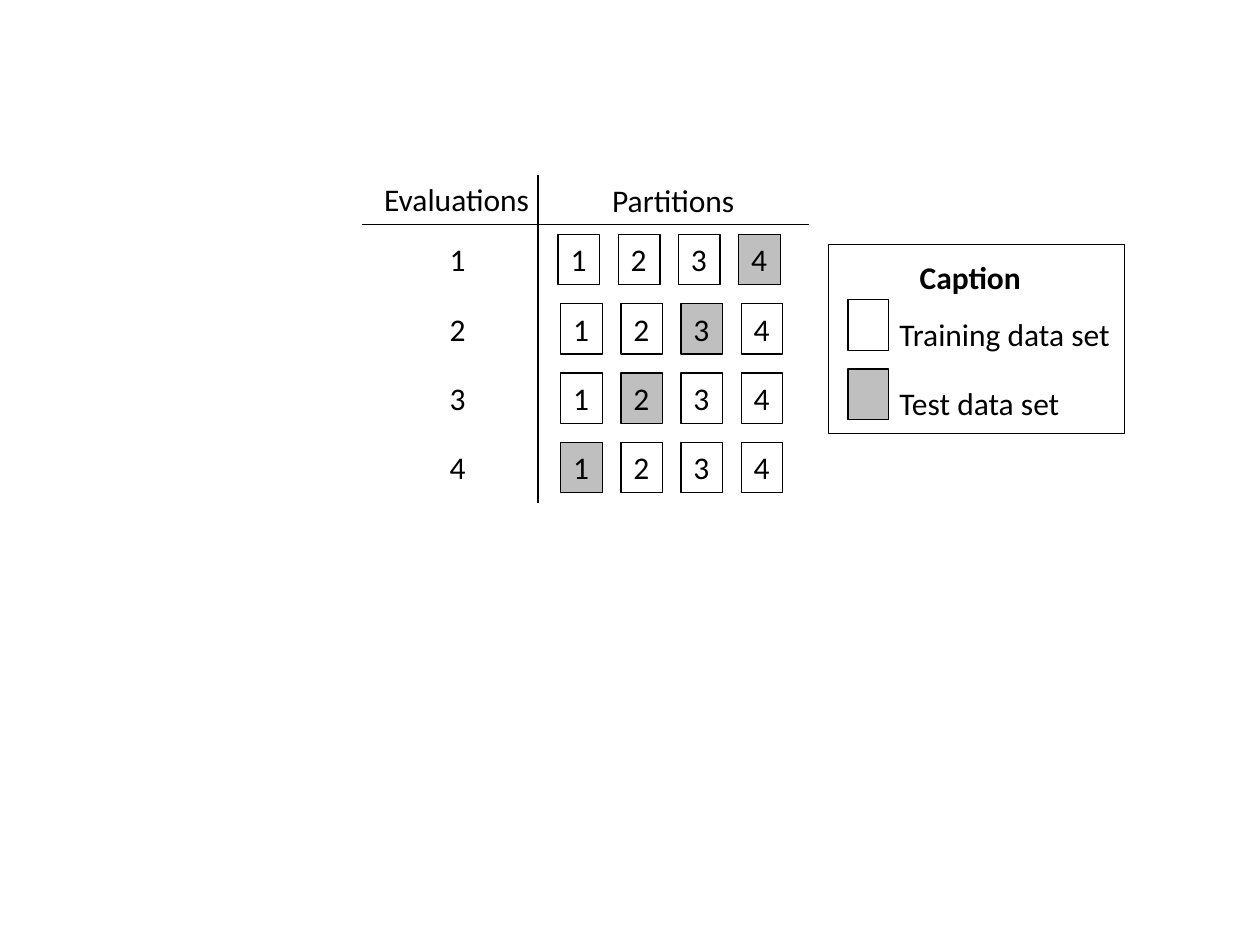
from dataclasses import dataclass
from typing import Optional

from lxml.etree import SubElement
from pptx import Presentation
from pptx.dml.color import RGBColor
from pptx.enum.shapes import MSO_CONNECTOR, MSO_SHAPE
from pptx.enum.text import MSO_ANCHOR, MSO_AUTO_SIZE, PP_ALIGN
from pptx.oxml.ns import qn
from pptx.util import Inches, Pt


@dataclass(frozen=True)
class Theme:
    font: str = "Calibri"
    text_size: float = 18
    ink: RGBColor = RGBColor(0, 0, 0)
    training: RGBColor = RGBColor(255, 255, 255)
    test: RGBColor = RGBColor(0xBF, 0xBF, 0xBF)
    line: float = 0.75
    thin_line: float = 0.25


@dataclass(frozen=True)
class Box:
    left: float
    top: float
    width: float
    height: float = 0.4

    def lengths(self) -> list:
        return [Inches(value) for value in (self.left, self.top, self.width, self.height)]


@dataclass(frozen=True)
class Grid:
    left: float
    top: float
    column_step: float
    row_step: float
    cell_width: float

    def cell(self, column: int, row: int) -> Box:
        return Box(self.left + column * self.column_step,
                   self.top + row * self.row_step, self.cell_width)


@dataclass(frozen=True)
class Label:
    text: str
    box: Box
    bold: bool = False


@dataclass(frozen=True)
class LegendEntry:
    text: str
    text_width: float
    fill: RGBColor


THEME = Theme()
FOLDS = 4
PARTITIONS = Grid(4.45, 1.86, 0.478, 0.55, 0.33)
FIRST_ROW_SHIFT = -0.02
EVALUATIONS = Grid(3.47, 1.86, 0, 0.55, 0.33)
LEGEND = Grid(6.73, 2.38, 0.31, 0.55, 0.32)
LEGEND_TEXT_DROP = 0.07
LEGEND_FRAME = Box(6.57, 1.94, 2.35, 1.5)
HEADINGS = (
    Label("Partitions", Box(4.76, 1.39, 1.18)),
    Label("Evaluations", Box(2.95, 1.38, 1.37)),
    Label("Caption", Box(7.2, 2, 1.01), bold=True),
)
LEGEND_ENTRIES = (
    LegendEntry("Training data set", 1.89, THEME.training),
    LegendEntry("Test data set", 1.48, THEME.test),
)


def write_text(shape, text: str, bold: bool = False) -> None:
    frame = shape.text_frame
    frame.word_wrap = False
    frame.auto_size = MSO_AUTO_SIZE.SHAPE_TO_FIT_TEXT
    frame.vertical_anchor = MSO_ANCHOR.TOP
    paragraph = frame.paragraphs[0]
    paragraph.alignment = PP_ALIGN.LEFT
    run = paragraph.add_run()
    run.text = text
    run.font.name = THEME.font
    run.font.size = Pt(THEME.text_size)
    run.font.bold = bold
    run.font.color.rgb = THEME.ink


def add_label(slide, label: Label) -> None:
    write_text(slide.shapes.add_textbox(*label.box.lengths()), label.text, label.bold)


def add_rectangle(slide, box: Box, fill: Optional[RGBColor] = None,
                  text: str = "", line: float = THEME.line) -> None:
    shape = slide.shapes.add_shape(MSO_SHAPE.RECTANGLE, *box.lengths())
    shape.shadow.inherit = False
    if fill is None:
        shape.fill.background()
    else:
        shape.fill.solid()
        shape.fill.fore_color.rgb = fill
    shape.line.color.rgb = THEME.ink
    shape.line.width = Pt(line)
    if text:
        write_text(shape, text)


def add_rule(slide, *ends: float) -> None:
    """Draw a line from begin x, begin y to end x, end y."""
    connector = slide.shapes.add_connector(
        MSO_CONNECTOR.STRAIGHT, *(Inches(value) for value in ends))
    connector.line.color.rgb = THEME.ink
    connector.line.width = Pt(THEME.line)
    SubElement(connector._element.spPr, qn("a:effectLst"))


def add_evaluation(slide, row: int) -> None:
    """Draw one numbered row; its test partition moves left row by row."""
    for column in range(FOLDS):
        box = PARTITIONS.cell(column, row)
        if row == 0:
            box = Box(box.left + FIRST_ROW_SHIFT, box.top, box.width)
        is_test = column == FOLDS - 1 - row
        add_rectangle(slide, box, THEME.test if is_test else None, str(column + 1))
    add_label(slide, Label(str(row + 1), EVALUATIONS.cell(0, row)))


def add_legend_entry(slide, row: int, entry: LegendEntry) -> None:
    add_rectangle(slide, LEGEND.cell(0, row), entry.fill)
    place = LEGEND.cell(1, row)
    add_label(slide, Label(entry.text, Box(
        place.left, place.top + LEGEND_TEXT_DROP, entry.text_width)))


def main() -> None:
    presentation = Presentation()
    presentation.slide_width = Inches(10)
    presentation.slide_height = Inches(7.5)
    slide = presentation.slides.add_slide(presentation.slide_layouts[6])
    for row in range(FOLDS):
        add_evaluation(slide, row)
    add_rule(slide, 2.87, 1.78, 6.42, 1.78)
    add_rule(slide, 4.27, 1.39, 4.27, 3.99)
    for row, entry in enumerate(LEGEND_ENTRIES):
        add_legend_entry(slide, row, entry)
    add_rectangle(slide, LEGEND_FRAME, line=THEME.thin_line)
    for heading in HEADINGS:
        add_label(slide, heading)
    presentation.save("out.pptx")


if __name__ == "__main__":
    main()
